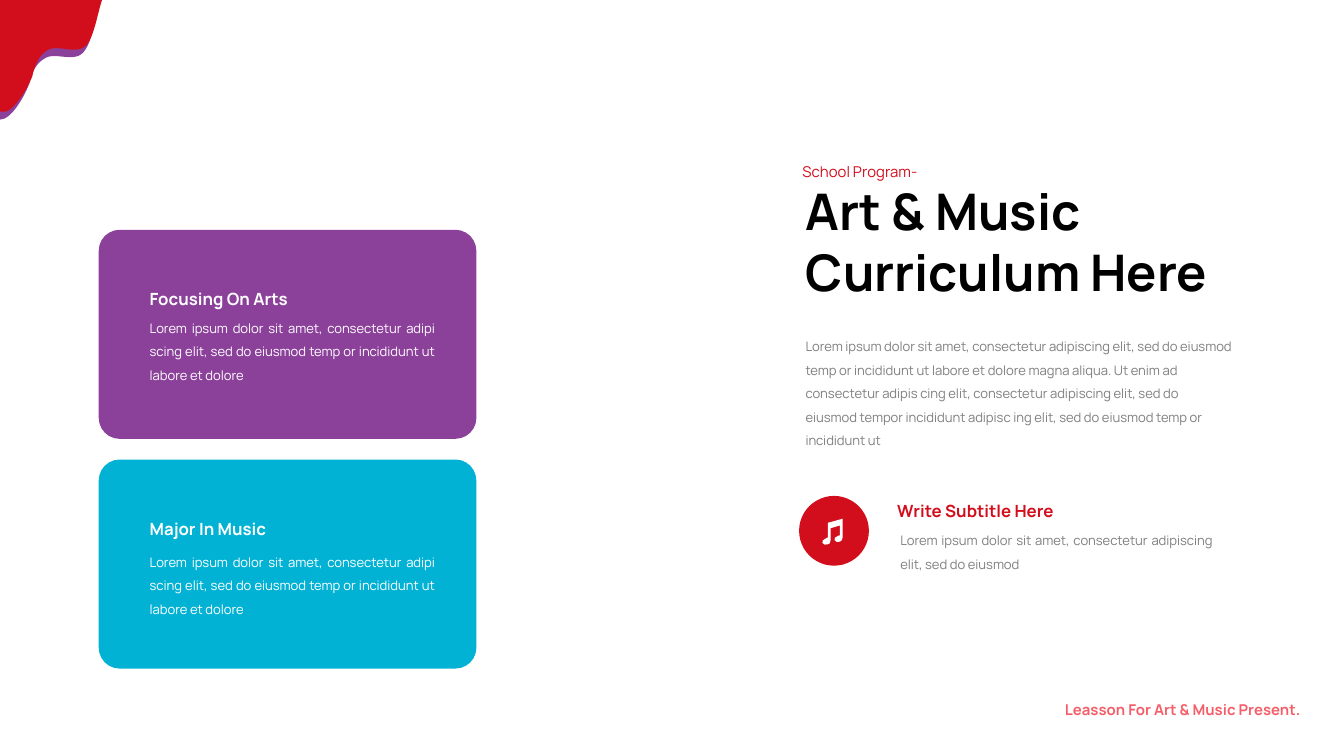
from lxml import etree
from pptx import Presentation
from pptx.dml.color import RGBColor
from pptx.enum import shapes, text
from pptx.oxml import ns
from pptx.util import Pt

FONT = "Manrope"
RED = RGBColor(0xD2, 0x0E, 0x1C)
PURPLE = RGBColor(0x8B, 0x40, 0x9A)
CYAN = RGBColor(0x01, 0xB2, 0xD4)
CORAL = RGBColor(0xF4, 0x5E, 0x69)
GRAY = RGBColor(0x7F, 0x7F, 0x7F)
BLACK = RGBColor(0, 0, 0)
WHITE = RGBColor(255, 255, 255)

LEFT, RIGHT, JUSTIFY = text.PP_ALIGN.LEFT, text.PP_ALIGN.RIGHT, text.PP_ALIGN.JUSTIFY
WIDE, NARROW = (7.2, 3.6), (5.4, 2.7)  # text insets: horizontal, vertical

# Content
TITLE = ["Art & Music", "Curriculum Here"]
EYEBROW = "School Program-"
INTRO = (
    "Lorem ipsum dolor sit amet, consectetur adipiscing elit, sed do eiusmod temp or "
    "incididunt ut labore et dolore magna aliqua. Ut enim ad consectetur adipis cing elit, "
    "consectetur adipiscing elit, sed do eiusmod tempor incididunt adipisc ing elit, "
    "sed do eiusmod temp or incididunt ut"
)
CARD_BODY = (
    "Lorem ipsum dolor sit amet, consectetur adipi scing elit, sed do eiusmod temp or "
    "incididunt ut labore et dolore"
)
CARDS = [  # heading, heading width, body, fill, body offset from card top
    ("Focusing On Arts", 107.3, CARD_BODY, PURPLE, 40.7),
    ("Major In Music", 85, CARD_BODY, CYAN, 43.1),
]
SUBTITLE = "Write Subtitle Here"
SUBTITLE_BODY = "Lorem ipsum dolor sit amet, consectetur adipiscing elit, sed do eiusmod"
FOOTER = "Leasson For Art & Music Present."

# Outlines: each step is one corner (x, y) or a curve of two controls and an end
PURPLE_DRIP = [
    (0, 4.3), (52.6, 4.3),
    (51.1, 10.1, 49, 24.5, 43.9, 28.8), (39.6, 33.1, 28.8, 28.1, 24.5, 31),
    (19.4, 33.8, 17.3, 38.2, 15.8, 44.6), (13.7, 50.4, 6.5, 64.1, 0, 64.1),
]
RED_DRIP = [
    (0, 0), (54.7, 0),
    (52.6, 5.8, 50.4, 20.2, 46.1, 24.5), (41, 29.5, 31, 23.8, 25.9, 26.6),
    (20.9, 29.5, 18.7, 34.6, 17.3, 41), (15.1, 46.8, 6.5, 61.9, 0.7, 59.8), (0, 59.8),
]
MUSIC_NOTE = [
    (443.5, 280.1), (443.5, 288),
    (443.5, 288, 442.8, 288, 442.1, 288.7), (440.6, 288.7, 440.6, 290.2, 440.6, 290.9),
    (441.4, 291.6, 442.1, 292.3, 443.5, 291.6), (444.2, 291.6, 445, 290.9, 445, 289.4),
    (445, 283), (450, 281.5), (450, 287.3),
    (450, 286.6, 449.3, 286.6, 448.6, 287.3), (447.1, 287.3, 447.1, 288.7, 447.1, 289.4),
    (447.8, 290.2, 448.6, 290.9, 450, 290.2), (450.7, 290.2, 451.4, 288.7, 451.4, 288),
    (451.4, 277.9),
]

# Layout
CARD_LEFT, CARD_TOP, CARD_W, CARD_H, CARD_PITCH = 52.9, 123.1, 202.3, 112, 123.1
CARD_TEXT_LEFT, HEADING_OFFSET = 73.1, 22.5
COLUMN_LEFT, COLUMN_W = 424.5, 242.6
SUBTITLE_LEFT = 475.2

prs = Presentation()
prs.slide_width, prs.slide_height = Pt(720), Pt(405)
slide = prs.slides.add_slide(prs.slide_layouts[5])


def put_text(lines, box, size, color, bold=False, align=LEFT, spacing=1.5,
             insets=WIDE, holder=None):
    """Write one string or a list of paragraphs into a new box or a placeholder."""
    box = [Pt(value) for value in box]
    if holder is None:
        holder = slide.shapes.add_textbox(*box)
    holder.left, holder.top, holder.width, holder.height = box
    frame = holder.text_frame
    frame.word_wrap = True
    frame.auto_size = text.MSO_AUTO_SIZE.SHAPE_TO_FIT_TEXT
    frame.vertical_anchor = text.MSO_ANCHOR.TOP
    frame.margin_left = frame.margin_right = Pt(insets[0])
    frame.margin_top = frame.margin_bottom = Pt(insets[1])
    frame.text = lines if isinstance(lines, str) else "\n".join(lines)
    for paragraph in frame.paragraphs:
        paragraph.alignment = align
        paragraph.line_spacing = spacing
        font = paragraph.runs[0].font
        font.name, font.size, font.bold = FONT, Pt(size), bold
        font.color.rgb = color


def paint(shape, color):
    shape.shadow.inherit = False
    shape.fill.solid()
    shape.fill.fore_color.rgb = color
    shape.line.fill.background()


def put_shape(kind, box, color):
    shape = slide.shapes.add_shape(kind, *[Pt(value) for value in box])
    paint(shape, color)
    return shape


def put_outline(steps, color):
    """Draw a closed outline through the step ends, then bend the curved steps."""
    ends = [(Pt(step[-2]), Pt(step[-1])) for step in steps]
    builder = slide.shapes.build_freeform(*ends[0])
    builder.add_line_segments(ends[1:], close=True)
    shape = builder.convert_to_shape()
    lines = shape.element.findall(".//" + ns.qn("a:lnTo"))
    for step, line in zip(steps[1:], lines):
        if len(step) == 6:
            line.tag = ns.qn("a:cubicBezTo")
            for i, (x, y) in enumerate((step[:2], step[2:4])):
                control = etree.Element(ns.qn("a:pt"), x=str(Pt(x) - shape.left),
                                        y=str(Pt(y) - shape.top))
                line.insert(i, control)
    paint(shape, color)


# Corner decoration
put_outline(PURPLE_DRIP, PURPLE)
put_outline(RED_DRIP, RED)

# Title and introduction
put_text(TITLE, (COLUMN_LEFT, 92.9, COLUMN_W, 72), 27, BLACK, bold=True, spacing=1.0,
         holder=slide.shapes.title)
put_text(EYEBROW, (COLUMN_LEFT, 79.5, 90.7, 19.4), 8, RED, align=JUSTIFY, insets=NARROW)
put_text(INTRO, (COLUMN_LEFT, 173.7, COLUMN_W, 70.6), 7, GRAY)

# Cards
for row, (heading, heading_w, body, fill, body_offset) in enumerate(CARDS):
    top = CARD_TOP + row * CARD_PITCH
    card = put_shape(shapes.MSO_SHAPE.ROUNDED_RECTANGLE,
                     (CARD_LEFT, top, CARD_W, CARD_H), fill)
    card.adjustments[0] = 0.1
    put_text(heading, (CARD_TEXT_LEFT, top + HEADING_OFFSET, heading_w, 23.8), 9, WHITE,
             bold=True, align=JUSTIFY)
    put_text(body, (CARD_TEXT_LEFT, top + body_offset, 167, 45.4), 7, WHITE, align=JUSTIFY)

# Subtitle with music icon
put_shape(shapes.MSO_SHAPE.OVAL, (428.1, 265.7, 37.4, 37.4), RED)
put_outline(MUSIC_NOTE, WHITE)
put_text(SUBTITLE, (SUBTITLE_LEFT, 259.9, 172.8, 21.6), 9, RED, bold=True, insets=NARROW)
put_text(SUBTITLE_BODY, (SUBTITLE_LEFT, 277.6, 181.4, 32.4), 7, GRAY, align=JUSTIFY)

# Footer
put_text(FOOTER, (500, 367.9, 202.3, 19.4), 8, CORAL, bold=True, align=RIGHT, insets=NARROW)

prs.save("out.pptx")
